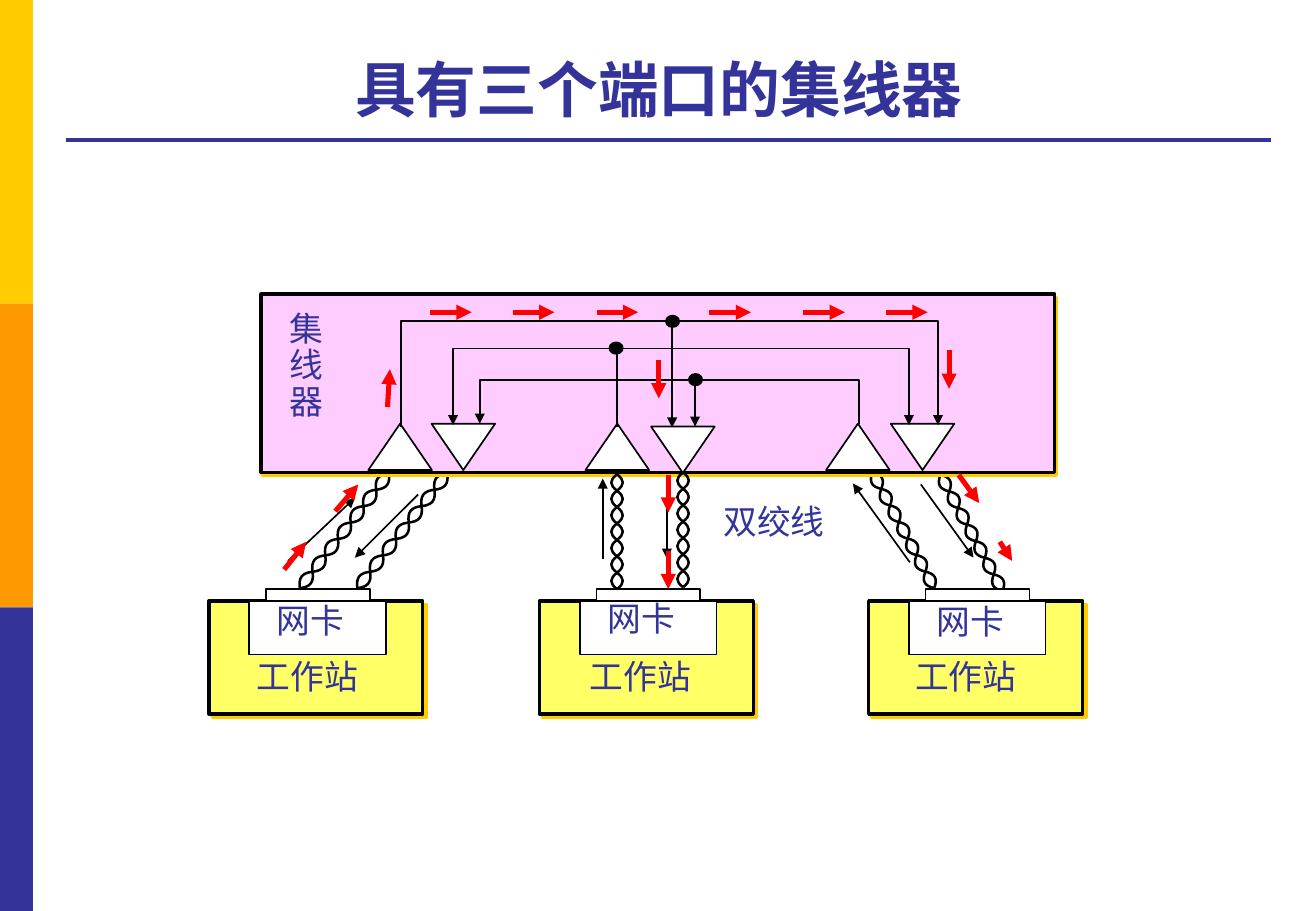
from math import hypot

from pptx import Presentation
from pptx.dml.color import RGBColor as Rgb
from pptx.enum.shapes import MSO_CONNECTOR as Link, MSO_SHAPE as Form
from pptx.enum.text import MSO_ANCHOR as Anchor, PP_ALIGN as Align
from pptx.oxml.ns import qn
from pptx.oxml.xmlchemy import OxmlElement as Node
from pptx.util import Cm, Pt

HUES = {
    "navy": "333399", "gold": "FFCC00", "orange": "FF9900", "pink": "FFCCFF",
    "yellow": "FFFF66", "white": "FFFFFF", "black": "000000", "red": "FF0000",
}


def hue(name):
    return Rgb.from_string(HUES[name])


def ink(item, color, width):
    item.line.color.rgb = hue(color)
    item.line.width = Pt(width)


def tip(item):
    end = Node("a:tailEnd")
    end.set("type", "triangle")
    item.line._get_or_add_ln().append(end)


def block(slide, form, x, y, w, h, fill, edge=1):
    item = slide.shapes.add_shape(form, Cm(x), Cm(y), Cm(w), Cm(h))
    item.shadow.inherit = False
    item.fill.solid()
    item.fill.fore_color.rgb = hue(fill)
    if edge:
        ink(item, "black", edge)
    else:
        item.line.fill.background()
    return item


def shade(item, dist, angle):
    cast = Node("a:outerShdw")
    cast.set("dist", str(Pt(dist)))
    cast.set("dir", str(angle * 60000))
    tint = Node("a:srgbClr")
    tint.set("val", HUES["gold"])
    cast.append(tint)
    item._element.spPr.find(qn("a:effectLst")).append(cast)


def line(slide, start, end, color="black", width=1, arrow=True):
    item = slide.shapes.add_connector(
        Link.STRAIGHT, *(Cm(v) for v in (*start, *end)))
    item._element.spPr.append(Node("a:effectLst"))
    ink(item, color, width)
    if arrow:
        tip(item)


def trace(slide, *runs, width=1, arrow=False):
    runs = [[(Cm(x), Cm(y)) for x, y in run] for run in runs]
    pen = slide.shapes.build_freeform(*runs[0][0])
    pen.add_line_segments(runs[0][1:], close=False)
    for run in runs[1:]:
        pen.move_to(*run[0])
        pen.add_line_segments(run[1:], close=False)
    item = pen.convert_to_shape()
    item.shadow.inherit = False
    item.fill.background()
    ink(item, "black", width)
    if arrow:
        tip(item)
    return item


# Each three straight steps become one Bézier curve
def curve(item):
    steps = list(item._element.iter(qn("a:lnTo")))
    for i in range(0, len(steps), 3):
        bend = Node("a:cubicBezTo")
        steps[i].addprevious(bend)
        for step in steps[i:i + 3]:
            bend.append(step[0])
            step.getparent().remove(step)


def write(slide, text, x, y, w, h, size=20, font="Times New Roman",
          bold=False, wrap=False, anchor=Anchor.TOP, space=1.0):
    frame = slide.shapes.add_textbox(Cm(x), Cm(y), Cm(w), Cm(h)).text_frame
    frame.word_wrap = wrap
    frame.vertical_anchor = anchor
    frame.text = text
    for para in frame.paragraphs:
        para.alignment = Align.CENTER
        para.line_spacing = space
        face = para.runs[0].font
        face.name, face.size, face.bold = font, Pt(size), bold
        face.color.rgb = hue("navy")


def shift(x, y, points):
    return [(x + dx, y + dy) for dx, dy in points]


# Side bars, title and rule
def header(slide, x, y, high):
    step = high / 3
    for i, color in enumerate(("gold", "orange", "navy")):
        block(slide, Form.RECTANGLE, x, y + i * step, 0.69, step, color, 0)
    write(slide, "具有三个端口的集线器", x + 1.19, y + 0.53, 25.17, 2.21,
          size=36, font="Arial", bold=True, wrap=True, anchor=Anchor.BOTTOM)
    line(slide, (x + 1.37, y + 2.92), (x + 26.57, y + 2.92),
         "navy", 2.25, arrow=False)


# Twisted pairs: two mirrored waves along each axis
def pairs(slide, x, y, axes, turns=7):
    for axis in axes:
        (ax, ay), (bx, by) = shift(x, y, axis)
        dx, dy = bx - ax, by - ay
        size = hypot(dx, dy)
        waves = []
        for side in (0.16, -0.16):
            wave = [(0, 0)]
            for i in range(turns):
                off = side * (-1) ** i
                wave += [(i + 0.36, off), (i + 0.64, off), (i + 1, 0)]
            waves.append([(ax + t / turns * dx - off * dy / size,
                           ay + t / turns * dy + off * dx / size)
                          for t, off in wave])
        curve(trace(slide, *waves, width=1.5))


# Hub with its ports, wires and signal
def hub(slide, x, y):
    case = block(slide, Form.RECTANGLE, x, y, 16.59, 3.73, "pink", 2)
    shade(case, 2.2, 63)
    for dx, dy, turn in ((2.24, 2.71, 0), (6.78, 2.71, 0), (11.81, 2.71, 0),
                         (3.56, 2.71, 180), (8.15, 2.77, 180),
                         (13.16, 2.71, 180)):
        port = block(slide, Form.ISOSCELES_TRIANGLE, x + dx, y + dy,
                     1.33, 0.97, "white")
        port.rotation = turn
    for wire in (
        [(12.5, 2.71), (12.5, 1.8), (4.57, 1.8), (4.57, 2.71)],
        [(7.44, 2.77), (7.44, 1.14), (13.54, 1.14), (13.54, 2.74)],
        [(7.44, 1.14), (4.01, 1.14), (4.01, 2.74)],
        [(2.92, 2.77), (2.92, 0.56), (14.15, 0.56), (14.15, 2.74)],
    ):
        trace(slide, shift(x, y, wire), arrow=True)
    for tap in ([(9.07, 1.8), (9.07, 2.77)], [(8.59, 0.56), (8.59, 2.79)]):
        line(slide, *shift(x, y, tap))
    for dx, dy in ((7.42, 1.13), (8.6, 0.57), (9.08, 1.79)):
        block(slide, Form.OVAL, x + dx - 0.14, y + dy - 0.12,
              0.28, 0.24, "black")
    write(slide, "集\n线\n器", x + 0.33, y + 0.25, 1.22, 2.57, space=0.9)
    flow = [((dx, 0.38), (dx + 0.87, 0.38))
            for dx in (3.53, 5.26, 7.01, 9.37, 11.33, 13.06)]
    flow += [((8.31, 1.37), (8.31, 2.18)), ((14.38, 1.17), (14.38, 1.98)),
             ((2.64, 2.36), (2.69, 1.57))]
    for ends in flow:
        line(slide, *shift(x, y, ends), "red", 3)


# Workstation with its network card
def station(slide, x, y, card, name):
    case = block(slide, Form.RECTANGLE, x, y, 4.47, 2.36, "yellow", 2)
    shade(case, 2.8, 45)
    block(slide, Form.RECTANGLE, x + 0.84, y, 2.86, 1.12, "white")
    block(slide, Form.RECTANGLE, x + 1.19, y - 0.25, 2.17, 0.24, "white")
    write(slide, "网卡", x + 1.16, y + card, 1.93, 1.09)
    write(slide, "工作站", x + name, y + 1.02, 2.64, 1.09)


# Directions of travel beside the cables
def travel(slide, x, y):
    for ends in (
        [(8.23, 1.8), (8.23, 0.13)], [(9.57, 0.15), (9.57, 1.8)],
        [(1.65, 1.85), (3.05, 0.53)], [(4.37, 0.46), (3.05, 1.78)],
        [(14.65, 1.88), (13.46, 0.23)], [(14.88, 0.25), (15.98, 1.78)],
    ):
        line(slide, *shift(x, y, ends))
    for ends in (
        [(1.57, 2.03), (2.03, 1.45)], [(2.64, 0.81), (3.12, 0.25)],
        [(9.6, 0.05), (9.6, 0.84)], [(9.6, 1.65), (9.6, 2.44)],
        [(15.67, 0.05), (16.1, 0.64)], [(16.53, 1.45), (16.79, 1.85)],
    ):
        line(slide, *shift(x, y, ends), "red", 3)
    write(slide, "双绞线", x + 10.49, y + 0.46, 2.64, 1.09)


def main():
    deck = Presentation()
    deck.slide_width, deck.slide_height = Cm(27.51), Cm(19.05)
    slide = deck.slides.add_slide(deck.slide_layouts[6])
    header(slide, 0, 0, 19.05)
    pairs(slide, 4.37, 9.88, (
        [(1.9, 2.42), (3.76, 0.02)], [(3.1, 2.42), (4.98, 0.02)],
        [(15.16, 2.42), (13.87, 0)], [(16.59, 2.48), (15.29, 0.05)]))
    hub(slide, 5.46, 6.15)
    for x, card, name in ((4.37, -0.15, 0.74), (11.28, -0.2, 0.79),
                          (18.16, -0.13, 0.71)):
        station(slide, x, 12.57, card, name)
    pairs(slide, 4.37, 9.88, (
        [(9.91, 2.4), (9.91, 0)], [(8.53, 2.44), (8.53, 0.04)]))
    travel(slide, 4.37, 9.88)
    deck.save("out.pptx")


if __name__ == "__main__":
    main()
